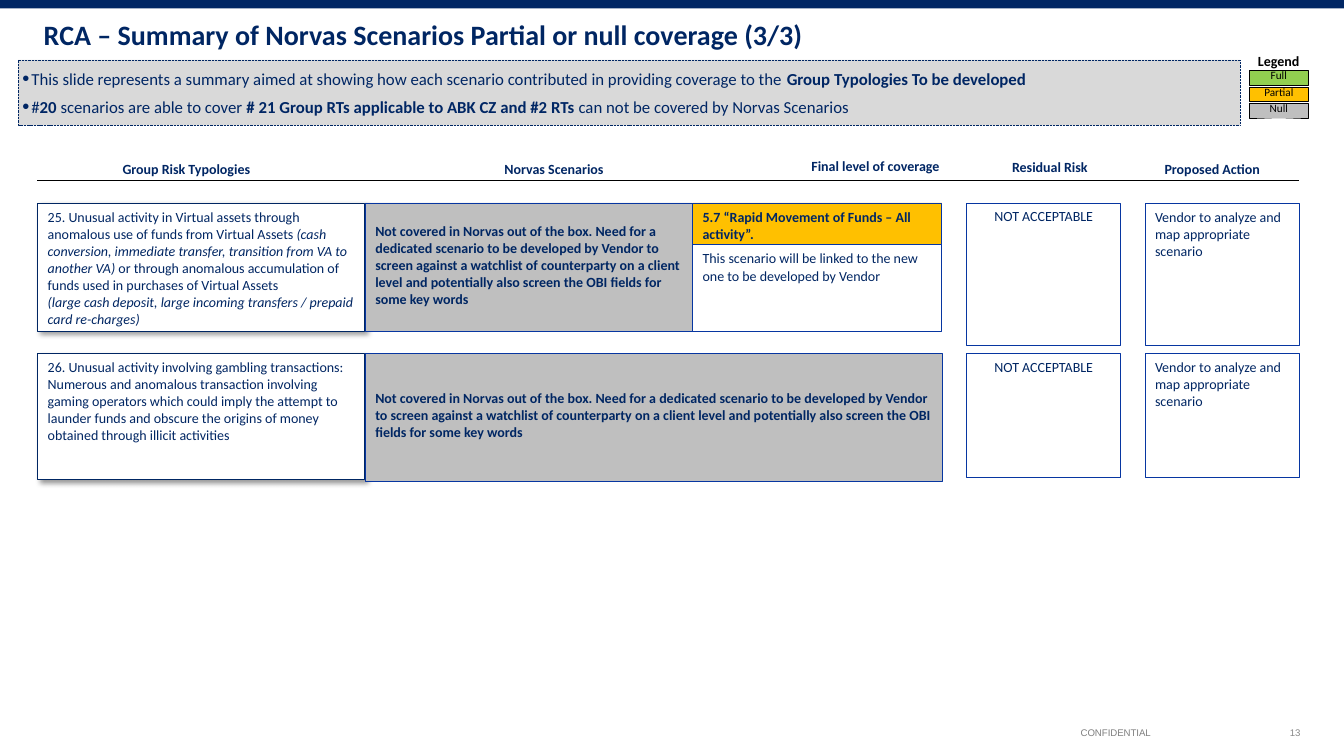
from dataclasses import dataclass
from typing import Any, Optional

from lxml import etree
from pptx import Presentation
from pptx import util as u
from pptx.dml.color import RGBColor
from pptx.enum import dml, shapes, text
from pptx.oxml import ns

NAVY, INK, BLUE, BLACK = "002664", "002663", "0736A1", "000000"
WHITE, GREY, AMBER, GREEN = "FFFFFF", "BFBFBF", "FFC000", "92D050"
LEFT, CENTER = text.PP_ALIGN.LEFT, text.PP_ALIGN.CENTER
TOP, MIDDLE = text.MSO_ANCHOR.TOP, text.MSO_ANCHOR.MIDDLE
CELL_INSETS = (7.2, 3.6, 7.2, 7.2)
NO_INSETS = (0, 0, 0, 0)


@dataclass(frozen=True)
class Run:
    text: str
    bold: bool = False
    italic: bool = False


@dataclass(frozen=True)
class Style:
    size: float = 10
    color: str = INK
    font: str = "Calibri"
    align: Any = LEFT
    anchor: Any = TOP
    insets: tuple[float, float, float, float] = CELL_INSETS
    leading: Optional[float] = None
    after: float = 0


@dataclass(frozen=True)
class Box:
    x: float
    y: float
    w: float
    h: float
    paragraphs: tuple[tuple[Run, ...], ...]
    style: Style
    fill: Optional[str] = None
    line: Optional[str] = BLUE
    weight: float = 0.5
    shadow: bool = False


def rgb(value: str) -> RGBColor:
    return RGBColor.from_string(value)


def apply(obj: Any, values: dict[str, Any]) -> None:
    for name, value in values.items():
        setattr(obj, name, value)


def place(sp: Any, x: float, y: float, w: float, h: float) -> None:
    apply(sp, {"left": u.Pt(x), "top": u.Pt(y), "width": u.Pt(w), "height": u.Pt(h)})


def element(parent: Any, tag: str, **attrs: str) -> Any:
    el = etree.SubElement(parent, ns.qn(tag))
    for name, value in attrs.items():
        el.set(name, value)
    return el


def write(tf: Any, paragraphs: tuple[tuple[Run, ...], ...], style: Style) -> None:
    sides = ("margin_left", "margin_top", "margin_right", "margin_bottom")
    apply(tf, {"word_wrap": True, "auto_size": text.MSO_AUTO_SIZE.NONE,
               "vertical_anchor": style.anchor})
    apply(tf, {side: u.Pt(v) for side, v in zip(sides, style.insets)})
    for i, runs in enumerate(paragraphs):
        p = tf.paragraphs[0] if i == 0 else tf.add_paragraph()
        apply(p, {"alignment": style.align, "space_before": u.Pt(0),
                  "space_after": u.Pt(style.after),
                  "line_spacing": u.Pt(style.leading) if style.leading else 1.0})
        for run in runs:
            r = p.add_run()
            r.text = run.text
            apply(r.font, {"name": style.font, "size": u.Pt(style.size),
                           "bold": run.bold, "italic": run.italic})
            r.font.color.rgb = rgb(style.color)


def paint(sp: Any, fill: str, line: Optional[str], weight: float) -> None:
    sp.fill.solid()
    sp.fill.fore_color.rgb = rgb(fill)
    if line:
        sp.line.color.rgb = rgb(line)
        sp.line.width = u.Pt(weight)
    else:
        sp.line.fill.background()


def draw(s: Any, box: Box) -> None:
    frame = tuple(u.Pt(v) for v in (box.x, box.y, box.w, box.h))
    if box.fill:
        sp = s.shapes.add_shape(shapes.MSO_SHAPE.RECTANGLE, *frame)
        sp.shadow.inherit = False
        paint(sp, box.fill, box.line, box.weight)
    else:
        sp = s.shapes.add_textbox(*frame)
    if box.shadow:
        effects = sp._element.spPr.find(ns.qn("a:effectLst"))
        outer = element(effects, "a:outerShdw", blurRad=str(u.Pt(4)), dist=str(u.Pt(3)),
                        dir="2700000", algn="tl", rotWithShape="0")
        element(element(outer, "a:srgbClr", val=BLACK), "a:alpha", val="40000")
    if box.paragraphs:
        write(sp.text_frame, box.paragraphs, box.style)


def one(content: str, bold: bool = False) -> tuple[tuple[Run, ...], ...]:
    return ((Run(content, bold),),)


def add_bullets(tf: Any, color: str) -> None:
    for p in tf.paragraphs:
        pPr = p._p.get_or_add_pPr()
        pPr.set("marL", str(u.Pt(6.5)))
        pPr.set("indent", str(u.Pt(-6.5)))
        element(element(pPr, "a:buClr"), "a:srgbClr", val=color)
        element(pPr, "a:buSzPct", val="120000")
        element(pPr, "a:buFont", typeface="Arial")
        element(pPr, "a:buChar", char="•")


def main() -> None:
    prs = Presentation()
    prs.slide_width, prs.slide_height = u.Pt(960), u.Pt(540)
    s = prs.slides.add_slide(prs.slide_layouts[1])

    title, panel = s.shapes.title, s.placeholders[1]
    place(title, 24, -2, 896, 52.5)
    write(title.text_frame,
          one("RCA – Summary of Norvas Scenarios Partial or null coverage (3/3)", True),
          Style(20, insets=(7.2, 14.4, 7.2, 3.6)))
    place(panel, 13, 42.8, 872.8, 46.8)
    paint(panel, "D9D9D9", INK, 0.25)
    panel.line.dash_style = dml.MSO_LINE.SQUARE_DOT
    write(panel.text_frame, (
        (Run("This slide represents a summary aimed at showing how each scenario "
             "contributed in providing coverage to the "),
         Run("Group Typologies To be developed", True)),
        (Run("#"), Run("20", True), Run(" scenarios are able to cover "),
         Run("# 21 Group RTs applicable to ABK CZ and #2 RTs ", True),
         Run("can not be covered by Norvas Scenarios")),
    ), Style(12, NAVY, align=text.PP_ALIGN.JUSTIFY, anchor=MIDDLE,
             insets=(2.9, 2.9, 2.9, 2.9), after=6))
    add_bullets(panel.text_frame, NAVY)

    cell = Style(leading=12.2)
    mid_cell = Style(leading=12.2, anchor=MIDDLE)
    verdict = Style(align=CENTER)
    heading = Style(color=NAVY, align=CENTER, insets=NO_INSETS, leading=15.4)
    swatch = Style(8, BLACK, align=CENTER, anchor=MIDDLE)
    footer = Style(6.9, "7F7F7F", "Arial", CENTER, insets=(7.2, 3.6, 7.2, 3.6))
    number = Style(6.9, "898989", "Arial", text.PP_ALIGN.RIGHT, MIDDLE,
                   (7.2, 3.6, 7.2, 3.6))

    draw(s, Box(0, 0, 960, 6, (), cell, NAVY, None))
    draw(s, Box(712, 509, 224, 29, one("13"), number))
    draw(s, Box(690, 515.5, 214, 16, one("CONFIDENTIAL"), footer))

    draw(s, Box(891.4, 34, 49.7, 19.4, one("Legend", True),
                Style(color=BLACK, insets=(7.2, 3.6, 7.2, 3.6))))
    for i, (name, fill) in enumerate((("Full", GREEN), ("Partial", AMBER), ("Null", GREY))):
        draw(s, Box(892.2, 50.4 + 11.8 * i, 42.5, 10.2, one(name), swatch, fill, BLACK, 0.25))

    rule = s.shapes.add_connector(shapes.MSO_CONNECTOR.STRAIGHT,
                                  u.Pt(26.6), u.Pt(128.8), u.Pt(928), u.Pt(128.8))
    rule.line.color.rgb = rgb(BLACK)
    rule.line.width = u.Pt(0.75)
    element(rule._element.spPr, "a:effectLst")
    for x, y, w, name in ((26.6, 111, 213, "Group Risk Typologies"),
                          (347.8, 111, 95.8, "Norvas Scenarios"),
                          (577.4, 108.8, 95.8, "Final level of coverage"),
                          (702, 109.6, 95.8, "Residual Risk"),
                          (818, 111, 95.8, "Proposed Action")):
        draw(s, Box(x, y, w, 13.7, one(name, True), heading))

    typologies = (
        ((Run("25. Unusual activity in Virtual assets through anomalous use of funds "
              "from Virtual Assets "),
          Run("(cash conversion, immediate transfer, transition from VA to another VA) ",
              italic=True),
          Run("or through anomalous accumulation of funds used in purchases of Virtual Assets")),
         (Run("(large cash deposit, large incoming transfers / prepaid card re-charges)",
              italic=True),)),
        one("26. Unusual activity involving gambling transactions: Numerous and anomalous "
            "transaction involving gaming operators which could imply the attempt to launder "
            "funds and obscure the origins of money obtained through illicit activities"),
    )
    gap = one("Not covered in Norvas out of the box. Need for a dedicated scenario to be "
              "developed by Vendor to screen against a watchlist of counterparty on a client "
              "level and potentially also screen the OBI fields for some key words", True)
    action = one("Vendor to analyze and map appropriate scenario")
    rows = ((145, 91.5, 102, 233.3), (252.4, 90, 88.6, 412))
    for typology, (y, h, side_h, gap_w) in zip(typologies, rows):
        draw(s, Box(27, y, 233.6, h, typology, cell, WHITE, INK, shadow=True))
        draw(s, Box(261, y, gap_w, 91.5, gap, mid_cell, GREY))
        draw(s, Box(690.4, y, 110.2, side_h, one("NOT ACCEPTABLE"), verdict, WHITE))
        draw(s, Box(818, y, 110.2, side_h, action, cell, WHITE))
    draw(s, Box(494.8, 145, 178, 29.6,
                one("5.7 “Rapid Movement of Funds – All activity”.", True), cell, AMBER))
    draw(s, Box(494.8, 174.8, 178, 61.7,
                one("This scenario will be linked to the new one to be developed by Vendor"),
                cell, WHITE))

    prs.save("out.pptx")


if __name__ == "__main__":
    main()
